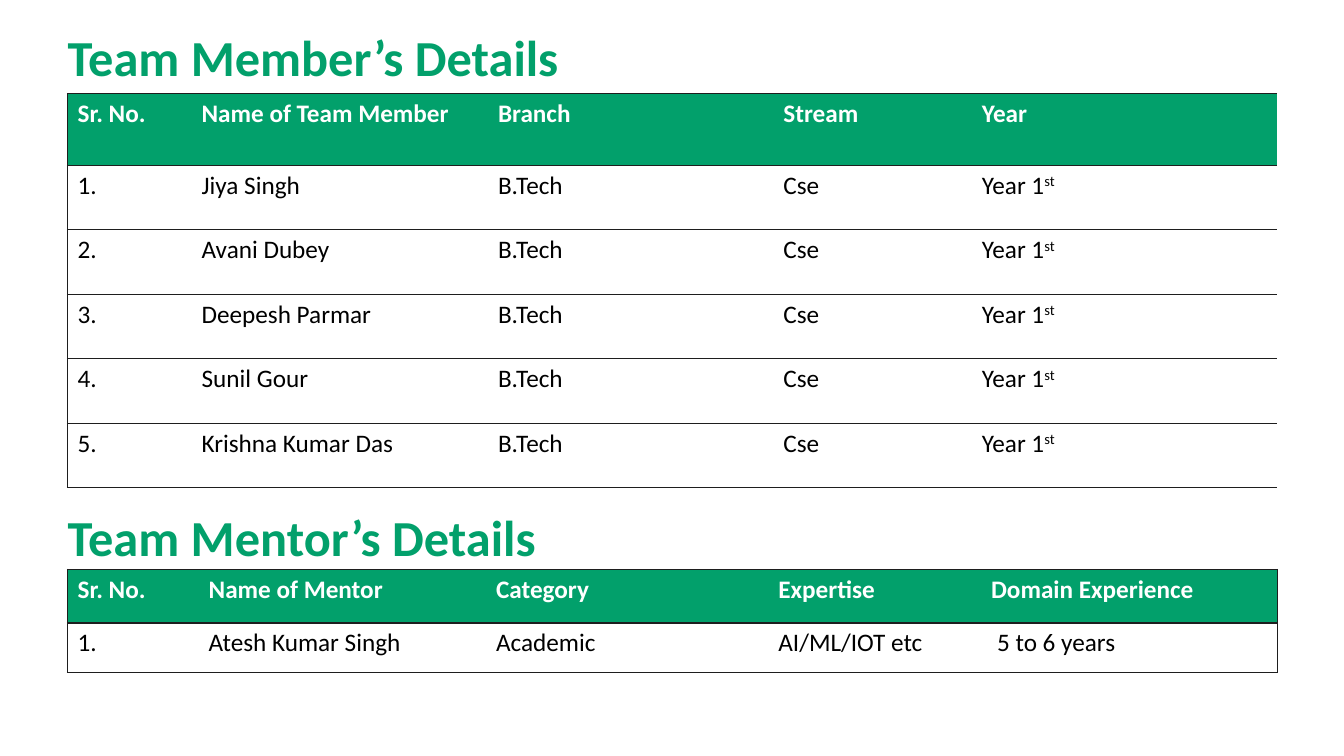
from dataclasses import dataclass

from lxml.etree import SubElement as Sub
from pptx import Presentation
from pptx.dml.color import RGBColor as Rgb
from pptx.enum.text import MSO_ANCHOR as Anchor, MSO_AUTO_SIZE as Fit, PP_ALIGN as Align
from pptx.oxml.ns import qn
from pptx.shapes.base import BaseShape
from pptx.slide import Slide
from pptx.table import _Cell as Cell
from pptx.text.text import _Paragraph as Para
from pptx.util import Pt

PX = 9144  # 100 px to the inch
COLORS = {"green": "02A06B", "white": "FFFFFF", "black": "000000", "line": "1E1E1E"}
FONT = "Calibri"
PLAIN = "{2D5ABB26-0587-4C30-8999-92F81FD0307C}"  # table style without grid
LEFT, WIDTH = 67, 1200


@dataclass
class Grid:
    top: int
    cols: list[int]
    heights: list[int]
    rows: list[list[str]]
    closed: bool  # has a line on the right


@dataclass
class Part:
    title: str
    top: int
    grid: Grid


names = ["Jiya Singh", "Avani Dubey", "Deepesh Parmar", "Sunil Gour", "Krishna Kumar Das"]
members = [["Sr. No.", "Name of Team Member", "Branch", "Stream", "Year"]] + [
    [f"{i}.", name, "B.Tech", "Cse", "Year 1^st"] for i, name in enumerate(names, 1)
]
mentors = [
    ["Sr. No.", "Name of Mentor", "Category", "Expertise", "Domain Experience"],
    ["1.", "Atesh Kumar Singh", "Academic", "AI/ML/IOT etc", "5 to 6 years"],
]
PARTS = [
    Part("Team Member’s Details", 30,
         Grid(93, [123, 294, 283, 197, 303], [71] + [64] * 5, members, False)),
    Part("Team Mentor’s Details", 506,
         Grid(565, [130, 285, 280, 211, 294], [53, 49], mentors, True)),
]


def style(para: Para, size: int, color: str, bold: bool) -> None:
    font = para.font
    font.name, font.size, font.bold = FONT, Pt(size), bold
    font.color.rgb = Rgb.from_string(COLORS[color])


def head(box: BaseShape, part: Part) -> None:
    box.left, box.top = LEFT * PX, part.top * PX
    box.width, box.height = WIDTH * PX, 59 * PX
    frame = box.text_frame
    frame.word_wrap, frame.auto_size = True, Fit.NONE
    frame.vertical_anchor = Anchor.MIDDLE
    frame.margin_left, frame.margin_right = 0, 10 * PX
    frame.margin_top = frame.margin_bottom = 5 * PX
    para = frame.paragraphs[0]
    para.text = part.title
    para.alignment, para.line_spacing = Align.LEFT, 0.9
    style(para, 36, "green", True)


def edge(cell: Cell, sides: str) -> None:
    props = cell._tc.get_or_add_tcPr()
    for side in "LRTB":
        line = Sub(props, qn(f"a:ln{side}"), w=str(Pt(1)))
        if side in sides:
            fill = Sub(line, qn("a:solidFill"))
            Sub(fill, qn("a:srgbClr"), val=COLORS["line"])
        else:
            Sub(line, qn("a:noFill"))


def write(cell: Cell, text: str, top: bool) -> None:
    para = cell.text_frame.paragraphs[0]
    base, _, raised = text.partition("^")
    para.add_run().text = base
    if raised:
        run = para.add_run()
        run.text = raised
        run.font._element.set("baseline", "30000")
    style(para, 18, "white" if top else "black", top)
    cell.fill.solid()
    cell.fill.fore_color.rgb = Rgb.from_string(COLORS["green" if top else "white"])


def draw(slide: Slide, grid: Grid) -> None:
    count = len(grid.cols)
    table = slide.shapes.add_table(
        len(grid.rows), count, LEFT * PX, grid.top * PX,
        WIDTH * PX, sum(grid.heights) * PX).table
    table._tbl.tblPr.find(qn("a:tableStyleId")).text = PLAIN
    table.first_row = table.horz_banding = False
    for col, width in zip(table.columns, grid.cols):
        col.width = width * PX
    for r, row in enumerate(grid.rows):
        table.rows[r].height = grid.heights[r] * PX
        for c, text in enumerate(row):
            cell = table.cell(r, c)
            right = grid.closed and c == count - 1
            edge(cell, "TB" + "L" * (c == 0) + "R" * right)
            write(cell, text, r == 0)
    if grid.closed:  # the last entry is set in a little
        table.cell(len(grid.rows) - 1, count - 1).margin_left = 16 * PX


def main() -> None:
    deck = Presentation()
    deck.slide_width, deck.slide_height = 1333 * PX, 750 * PX
    slide = deck.slides.add_slide(deck.slide_layouts[5])

    # Headings: the title, then a text box
    box = slide.shapes.add_textbox(0, 0, PX, PX)
    for shape, part in zip([slide.shapes.title, box], PARTS):
        head(shape, part)

    # Tables
    for part in PARTS:
        draw(slide, part.grid)
    deck.save("out.pptx")


if __name__ == "__main__":
    main()
